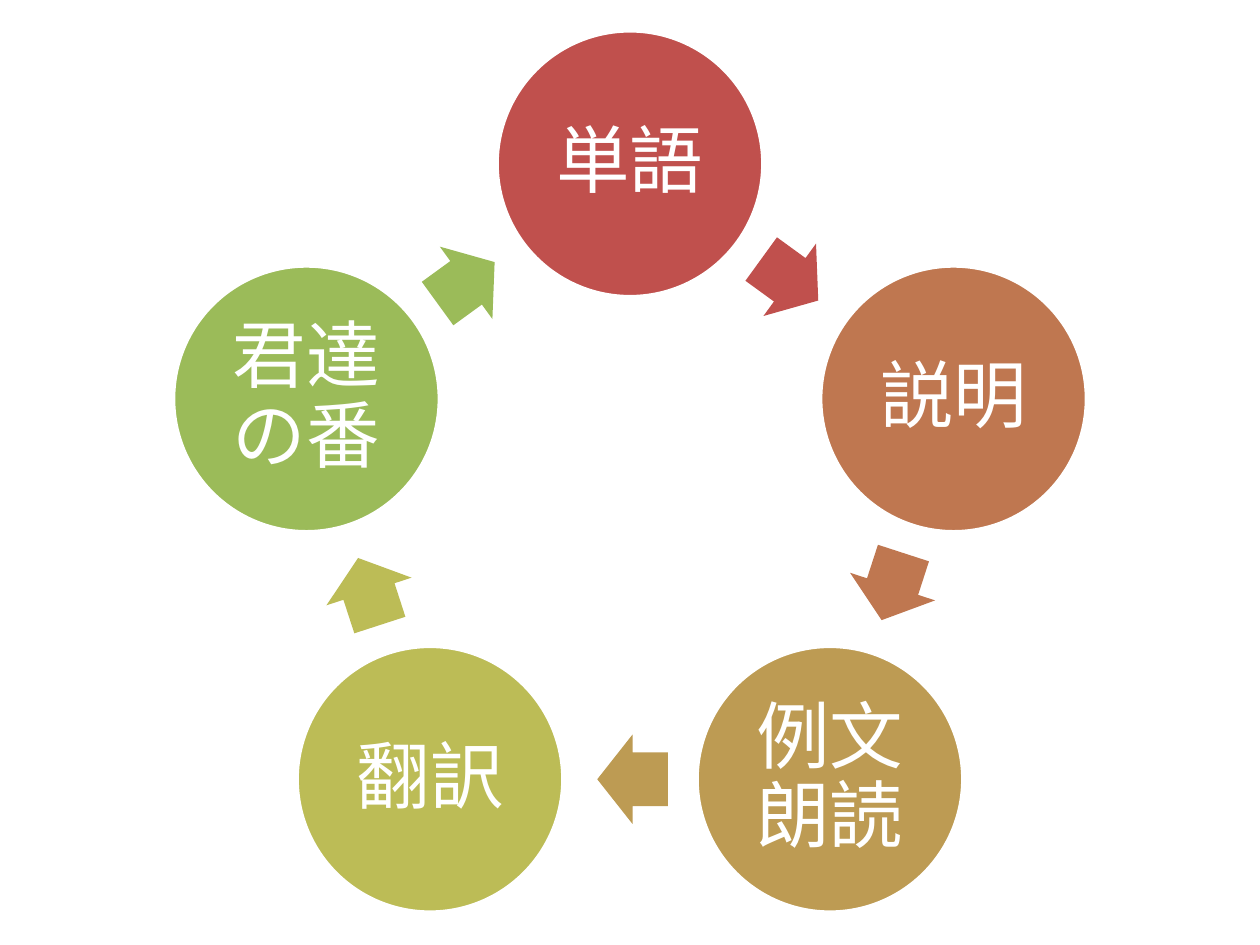
import math
from dataclasses import dataclass

from pptx import Presentation
from pptx.dml.color import RGBColor
from pptx.enum import shapes, text
from pptx.util import Inches, Pt


@dataclass(frozen=True)
class Theme:
    font: str = "Calibri"
    label_size: int = 42
    light: str = "FFFFFF"
    steps: tuple = ("C0504D", "BF7750", "BD9B53", "BCBC56", "9BBB59")


class CycleBuilder:
    center_x, center_y, radius = 5, 4, 2.7
    diameter = 2.11
    arrow_width, arrow_height, arrow_setback = 0.56, 0.71, 0.02

    def __init__(self, page, theme):
        self.page = page
        self.theme = theme

    def point(self, angle, radius):
        turn = math.radians(angle)
        return (self.center_x + radius * math.sin(turn),
                self.center_y - radius * math.cos(turn))

    def shape(self, kind, center, width, height, color):
        x, y = center
        shape = self.page.shapes.add_shape(
            kind, Inches(x - width / 2), Inches(y - height / 2),
            Inches(width), Inches(height))
        shape.shadow.inherit = False
        shape.fill.solid()
        shape.fill.fore_color.rgb = RGBColor.from_string(color)
        shape.line.fill.background()
        return shape

    def circle(self, label, angle, color):
        circle = self.shape(shapes.MSO_SHAPE.OVAL, self.point(angle, self.radius),
                            self.diameter, self.diameter, color)
        light = RGBColor.from_string(self.theme.light)
        circle.line.color.rgb = light
        circle.line.width = Pt(2)
        frame = circle.text_frame
        frame.word_wrap = True
        frame.vertical_anchor = text.MSO_ANCHOR.MIDDLE
        frame.margin_left = frame.margin_right = Inches(0.06)
        frame.margin_top = frame.margin_bottom = Inches(0.06)
        para = frame.paragraphs[0]
        para.alignment = text.PP_ALIGN.CENTER
        para.line_spacing = 0.9
        span = para.add_run()
        span.text = label
        span.font.name = self.theme.font
        span.font.size = Pt(self.theme.label_size)
        span.font.color.rgb = light

    def arrow(self, angle, half_step, color):
        x, y = self.point(angle, self.radius * math.cos(math.radians(half_step)))
        turn = math.radians(angle)
        center = (x - self.arrow_setback * math.cos(turn),
                  y - self.arrow_setback * math.sin(turn))
        arrow = self.shape(shapes.MSO_SHAPE.RIGHT_ARROW, center,
                           self.arrow_width, self.arrow_height, color)
        arrow.adjustments[0] = 0.6
        arrow.adjustments[1] = 0.5
        arrow.rotation = angle

    def cycle(self, labels):
        step = 360 / len(labels)
        for index, (label, color) in enumerate(zip(labels, self.theme.steps)):
            angle = index * step
            self.circle(label, angle, color)
            self.arrow(angle + step / 2, step / 2, color)


def main():
    deck = Presentation()
    deck.slide_width = Inches(10)
    deck.slide_height = Inches(7.5)
    page = deck.slides.add_slide(deck.slide_layouts[6])
    builder = CycleBuilder(page, Theme())
    builder.cycle(["単語", "説明", "例文朗読", "翻訳", "君達の番"])
    deck.save("out.pptx")


if __name__ == "__main__":
    main()
